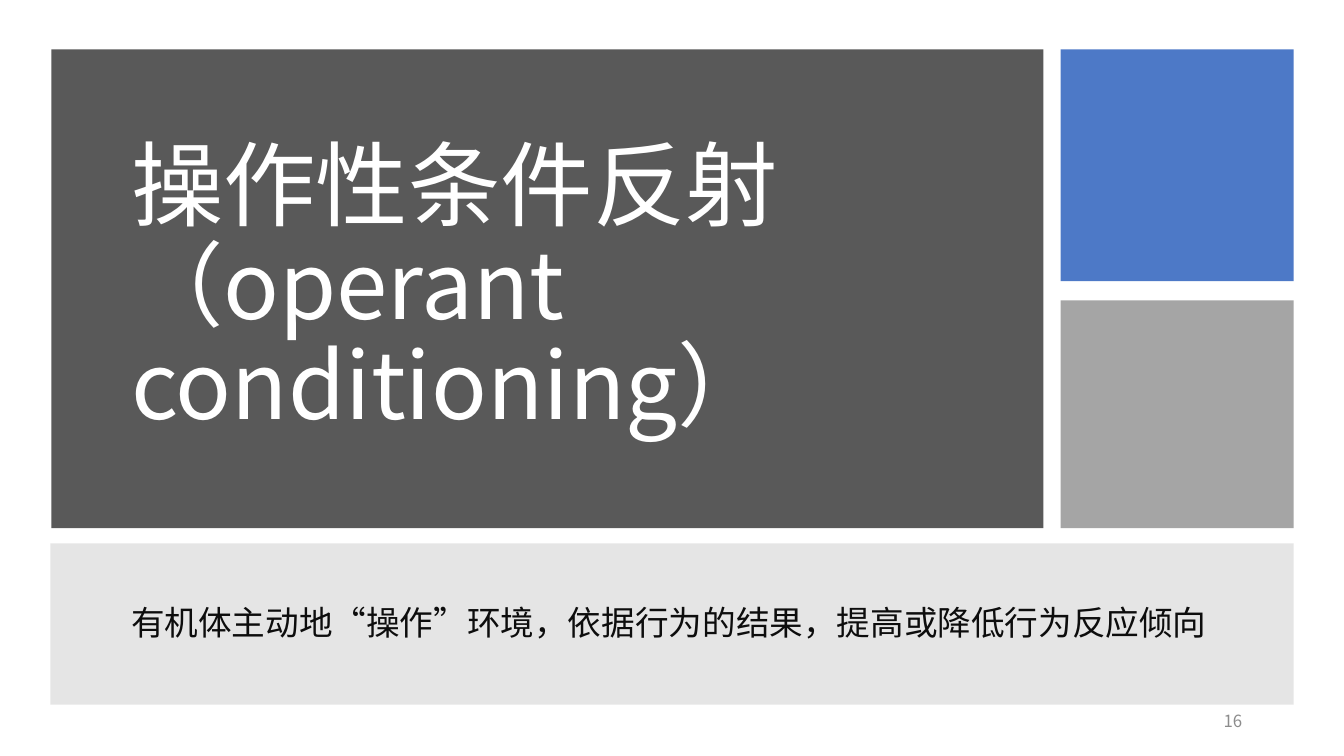
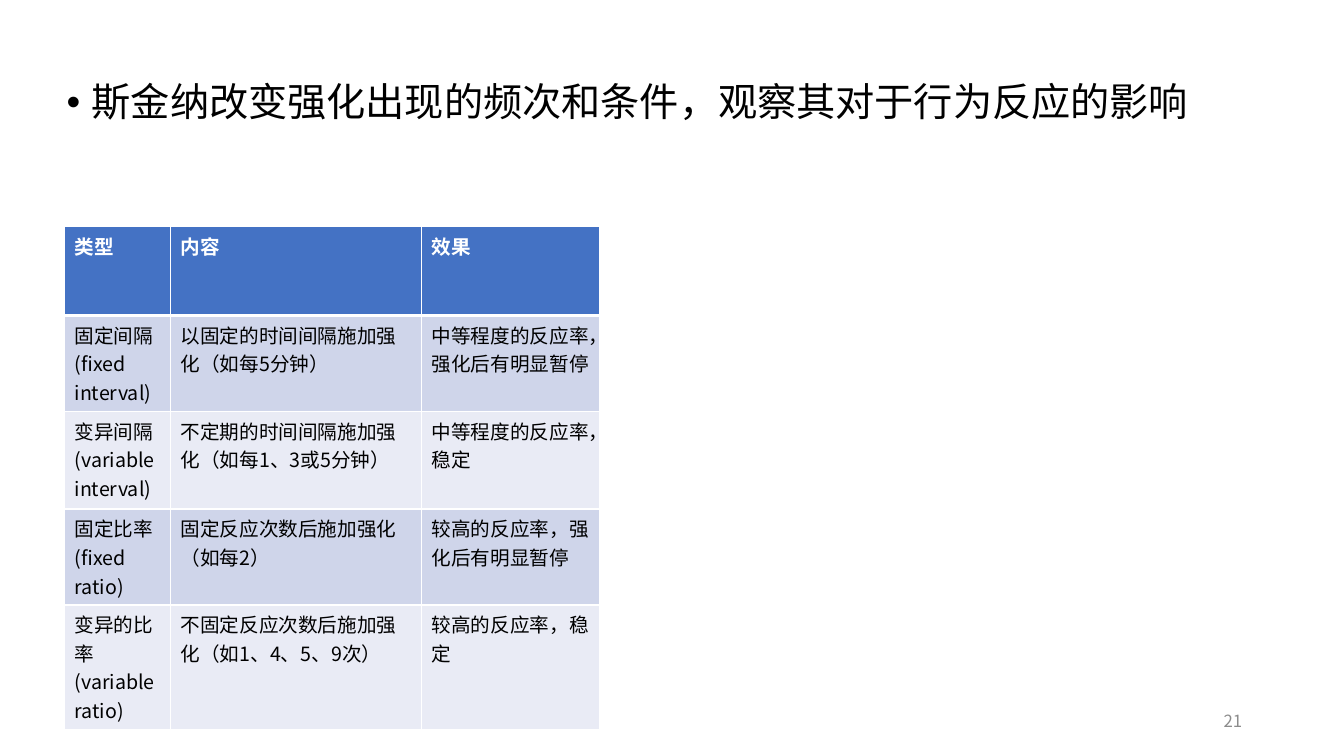
from dataclasses import dataclass
from typing import Optional

import lxml.etree
import pptx
import pptx.dml.color
import pptx.enum.lang
import pptx.enum.shapes
import pptx.enum.text
import pptx.oxml
import pptx.oxml.ns
import pptx.util

EMU_PER_PX = 9144
FONT = "Noto Sans CJK SC"
WHITE = "FFFFFF"
BLACK = "000000"
BLUE = "4472C4"
BAND_COLORS = ("CFD5EA", "E9EBF5")
NUMBER_GRAY = "8C8C8C"
LEFT = pptx.enum.text.PP_ALIGN.LEFT
RIGHT = pptx.enum.text.PP_ALIGN.RIGHT
TOP = pptx.enum.text.MSO_ANCHOR.TOP
MIDDLE = pptx.enum.text.MSO_ANCHOR.MIDDLE


@dataclass(frozen=True)
class Area:
    left: int
    top: int
    width: int
    height: int


@dataclass(frozen=True)
class Panel:
    area: Area
    color: str
    opacity: int = 100


@dataclass(frozen=True)
class Style:
    size: int
    color: str
    bold: bool = False
    align: pptx.enum.text.PP_ALIGN = LEFT
    spacing: float = 1.0
    bullet: Optional[str] = None
    hanging: int = 0


@dataclass(frozen=True)
class ScheduleRow:
    height: int
    kind: tuple[str, ...]
    content: str
    effect: str


TITLE = Style(66, WHITE, spacing=0.9)
SUBTITLE = Style(24, "0D0D0D", spacing=0.9)
BULLET = Style(28, BLACK, spacing=0.9, bullet="•", hanging=25)
PAGE_NUMBER = Style(12, NUMBER_GRAY, align=RIGHT)
HEADER_CELL = Style(14, WHITE, bold=True)
BODY_CELL = Style(14, BLACK)

NUMBER_AREA = Area(942, 695, 300, 40)
PANELS = (
    Panel(Area(51, 49, 984, 475), "595959"),
    Panel(Area(1052, 49, 231, 230), BLUE, 95),
    Panel(Area(1052, 298, 231, 226), "A5A5A5"),
    Panel(Area(50, 539, 1233, 160), "7F7F7F", 20),
)
COLUMN_WIDTHS = (105, 249, 177)
SCHEDULES = (
    ScheduleRow(88, ("类型",), "内容", "效果"),
    ScheduleRow(88, ("固定间隔(fixed interval)",),
                "以固定的时间间隔施加强化（如每5分钟）", "中等程度的反应率，强化后有明显暂停"),
    ScheduleRow(97, ("变异间隔", "(variable interval)"),
                "不定期的时间间隔施加强化（如每1、3或5分钟）", "中等程度的反应率，稳定"),
    ScheduleRow(88, ("固定比率", "(fixed ratio)"),
                "固定反应次数后施加强化（如每2）", "较高的反应率，强化后有明显暂停"),
    ScheduleRow(88, ("变异的比率", "(variable ratio)"),
                "不固定反应次数后施加强化（如1、4、5、9次）", "较高的反应率，稳定"),
)


def px(length: int) -> pptx.util.Emu:
    return pptx.util.Emu(length * EMU_PER_PX)


def rgb(color: str) -> pptx.dml.color.RGBColor:
    return pptx.dml.color.RGBColor.from_string(color)


def add_element(parent, tag: str, **attributes: str):
    element = lxml.etree.SubElement(parent, pptx.oxml.ns.qn(tag))
    for name, value in attributes.items():
        element.set(name, value)
    return element


def write(frame, lines: tuple[str, ...], style: Style) -> None:
    for index, line in enumerate(lines):
        paragraph = frame.paragraphs[0] if index == 0 else frame.add_paragraph()
        properties = paragraph._p.get_or_add_pPr()
        properties.set("marL", str(px(style.hanging)))
        properties.set("indent", str(px(-style.hanging)))
        properties.set("hangingPunct", "1")
        if style.bullet:
            add_element(properties, "a:buFont", typeface="Arial")
            add_element(properties, "a:buChar", char=style.bullet)
        else:
            add_element(properties, "a:buNone")
        paragraph.alignment = style.align
        paragraph.line_spacing = style.spacing
        paragraph.space_before = pptx.util.Pt(0)
        span = paragraph.add_run()
        span.text = line
        span.font.size = pptx.util.Pt(style.size)
        span.font.bold = style.bold
        span.font.color.rgb = rgb(style.color)
        span.font.name = FONT
        span.font.language_id = pptx.enum.lang.MSO_LANGUAGE_ID.SIMPLIFIED_CHINESE
        add_element(span._r.get_or_add_rPr(), "a:ea", typeface=FONT)


def fill_box(box, area: Area, text: str, style: Style, anchor=MIDDLE) -> None:
    box.left, box.top = px(area.left), px(area.top)
    box.width, box.height = px(area.width), px(area.height)
    frame = box.text_frame
    frame.word_wrap = True
    frame.auto_size = pptx.enum.text.MSO_AUTO_SIZE.NONE
    frame.vertical_anchor = anchor
    write(frame, (text,), style)


def add_page(deck, number: int):
    page = deck.slides.add_slide(deck.slide_layouts[1])
    box = page.shapes.add_textbox(0, 0, 0, 0)
    fill_box(box, NUMBER_AREA, str(number), PAGE_NUMBER)
    return page


def add_panel(page, panel: Panel) -> None:
    area = panel.area
    shape = page.shapes.add_shape(
        pptx.enum.shapes.MSO_SHAPE.RECTANGLE,
        px(area.left), px(area.top), px(area.width), px(area.height))
    shape.shadow.inherit = False
    shape.fill.solid()
    shape.fill.fore_color.rgb = rgb(panel.color)
    shape.line.fill.background()
    if panel.opacity < 100:
        color = shape.element.spPr.find(".//" + pptx.oxml.ns.qn("a:srgbClr"))
        add_element(color, "a:alpha", val=str(panel.opacity * 1000))
    page.shapes.element.insert(2, shape.element)


def add_border(cell, side: str, points: int) -> None:
    line = add_element(cell._tc.get_or_add_tcPr(), f"a:ln{side}",
                       w=str(pptx.util.Pt(points)))
    add_element(add_element(line, "a:solidFill"), "a:srgbClr", val=WHITE)


def add_schedule_table(page, left: int, top: int) -> None:
    height = sum(row.height for row in SCHEDULES)
    table = page.shapes.add_table(
        len(SCHEDULES), len(COLUMN_WIDTHS), px(left), px(top),
        px(sum(COLUMN_WIDTHS)), px(height)).table
    table.horz_banding = False
    for column, width in zip(table.columns, COLUMN_WIDTHS):
        column.width = px(width)
    for index, schedule in enumerate(SCHEDULES):
        table.rows[index].height = px(schedule.height)
        header = index == 0
        color = BLUE if header else BAND_COLORS[(index - 1) % 2]
        borders = {"L": 1, "R": 1, "T": 3 if index == 1 else 1, "B": 3 if header else 1}
        texts = (schedule.kind, (schedule.content,), (schedule.effect,))
        for cell, lines in zip(table.rows[index].cells, texts):
            for side, points in borders.items():
                add_border(cell, side, points)
            cell.fill.solid()
            cell.fill.fore_color.rgb = rgb(color)
            write(cell.text_frame, lines, HEADER_CELL if header else BODY_CELL)


def build_opening(deck) -> None:
    page = add_page(deck, 16)
    for panel in PANELS:
        add_panel(page, panel)
    fill_box(page.shapes.title, Area(120, 113, 846, 348),
             "操作性条件反射（operant conditioning）", TITLE)
    fill_box(page.placeholders[1], Area(120, 567, 1095, 105),
             "有机体主动地“操作”环境，依据行为的结果，提高或降低行为反应倾向", SUBTITLE)


def build_schedules(deck) -> None:
    page = add_page(deck, 21)
    title = page.shapes.title.element
    title.getparent().remove(title)
    fill_box(page.placeholders[1], Area(56, 77, 1236, 476),
             "斯金纳改变强化出现的频次和条件，观察其对于行为反应的影响", BULLET, TOP)
    add_schedule_table(page, 64, 225)


def main() -> None:
    deck = pptx.Presentation()
    deck.slide_width, deck.slide_height = px(1333), px(750)
    build_opening(deck)
    build_schedules(deck)
    deck.save("out.pptx")


if __name__ == "__main__":
    main()
